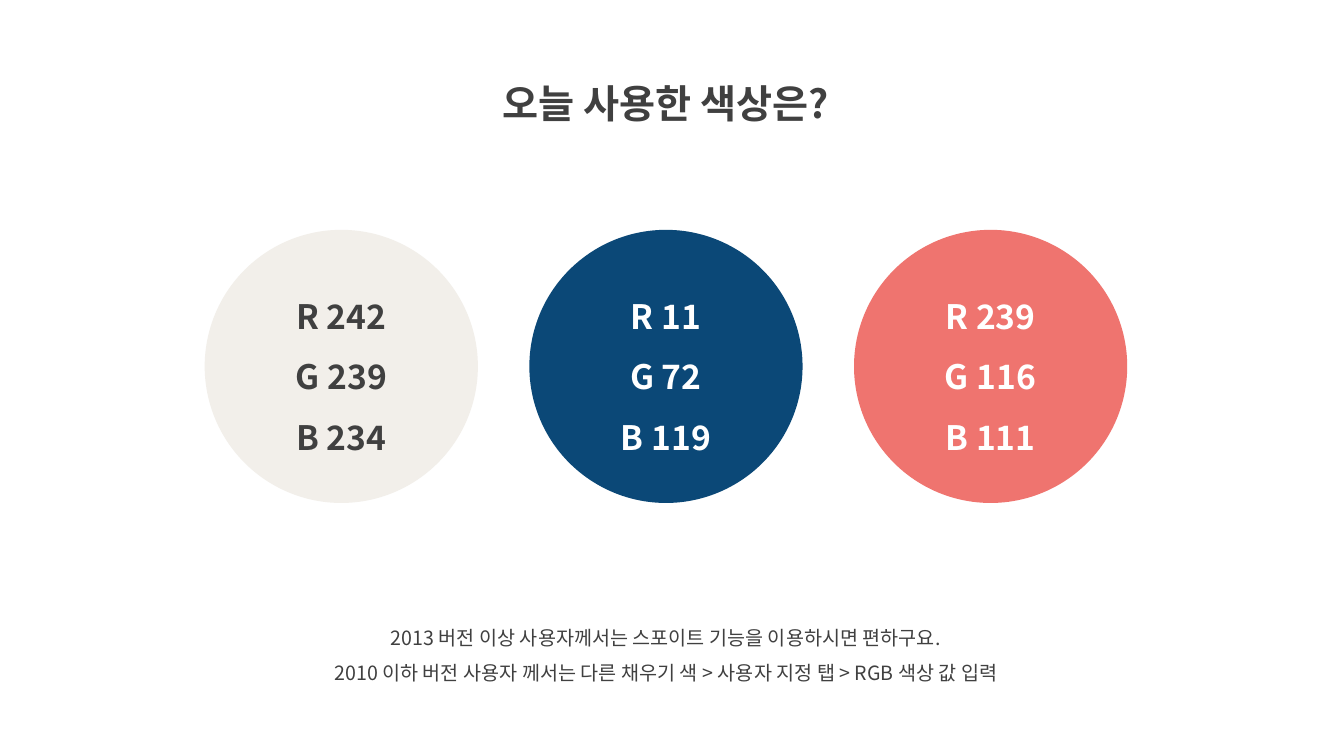
"""Build a slide that shows three palette colours with their RGB values."""
from pptx import Presentation, util as u
from pptx.dml.color import RGBColor
from pptx.enum import shapes, text
from pptx.oxml.ns import qn
from lxml import etree

COLORS = {"ink": "404040", "white": "FFFFFF", "cream": "F2EFEA",
          "navy": "0B4877", "coral": "EF746F"}


class Painter:
    """Hold the style and the current slide."""

    font = "Noto Sans CJK KR"
    spacing = 1.5

    def __init__(self, page):
        self.page = page

    def set_lines(self, frame, lines, size, color, bold=False):
        """Fill a text frame with centred lines."""
        frame.word_wrap = True
        for index, line in enumerate(lines):
            para = frame.add_paragraph() if index else frame.paragraphs[0]
            para.text = line
            para.alignment = text.PP_ALIGN.CENTER
            para.line_spacing = self.spacing
            font = para.font
            font.name, font.size, font.bold = self.font, u.Pt(size), bold
            font.color.rgb = RGBColor.from_string(COLORS[color])
            east_asian = etree.SubElement(font._element, qn("a:ea"))
            east_asian.set("typeface", self.font)

    def label(self, left, top, width, height, lines, size, bold=False):
        """Add a text box."""
        box = self.page.shapes.add_textbox(
            *map(u.Inches, (left, top, width, height)))
        self.set_lines(box.text_frame, lines, size, "ink", bold)

    def swatch(self, left, top, diameter, fill, ink):
        """Add a circle labelled with the RGB values of its fill."""
        circle = self.page.shapes.add_shape(
            shapes.MSO_SHAPE.OVAL,
            *map(u.Inches, (left, top, diameter, diameter)))
        circle.shadow.inherit = False
        circle.line.fill.background()
        circle.fill.solid()
        rgb = RGBColor.from_string(COLORS[fill])
        circle.fill.fore_color.rgb = rgb
        circle.text_frame.vertical_anchor = text.MSO_ANCHOR.MIDDLE
        lines = [f"{channel} {value}" for channel, value in zip("RGB", rgb)]
        self.set_lines(circle.text_frame, lines, 24, ink, bold=True)


deck = Presentation()
deck.slide_width, deck.slide_height = u.Inches(13.33), u.Inches(7.5)
painter = Painter(deck.slides.add_slide(deck.slide_layouts[6]))

painter.label(4.29, 0.5, 4.63, 0.72, ["오늘 사용한 색상은?"], 28, bold=True)
painter.label(2.61, 6.04, 7.99, 0.81, [
    "2013 버전 이상 사용자께서는 스포이트 기능을 이용하시면 편하구요.",
    "2010 이하 버전 사용자 께서는 다른 채우기 색 > 사용자 지정 탭 > RGB 색상 값 입력",
], 14)

swatches = [("cream", "ink"), ("navy", "white"), ("coral", "white")]
for column, (fill, ink) in enumerate(swatches):
    painter.swatch(2.03 + 3.22 * column, 2.28, 2.71, fill, ink)

deck.save("out.pptx")
